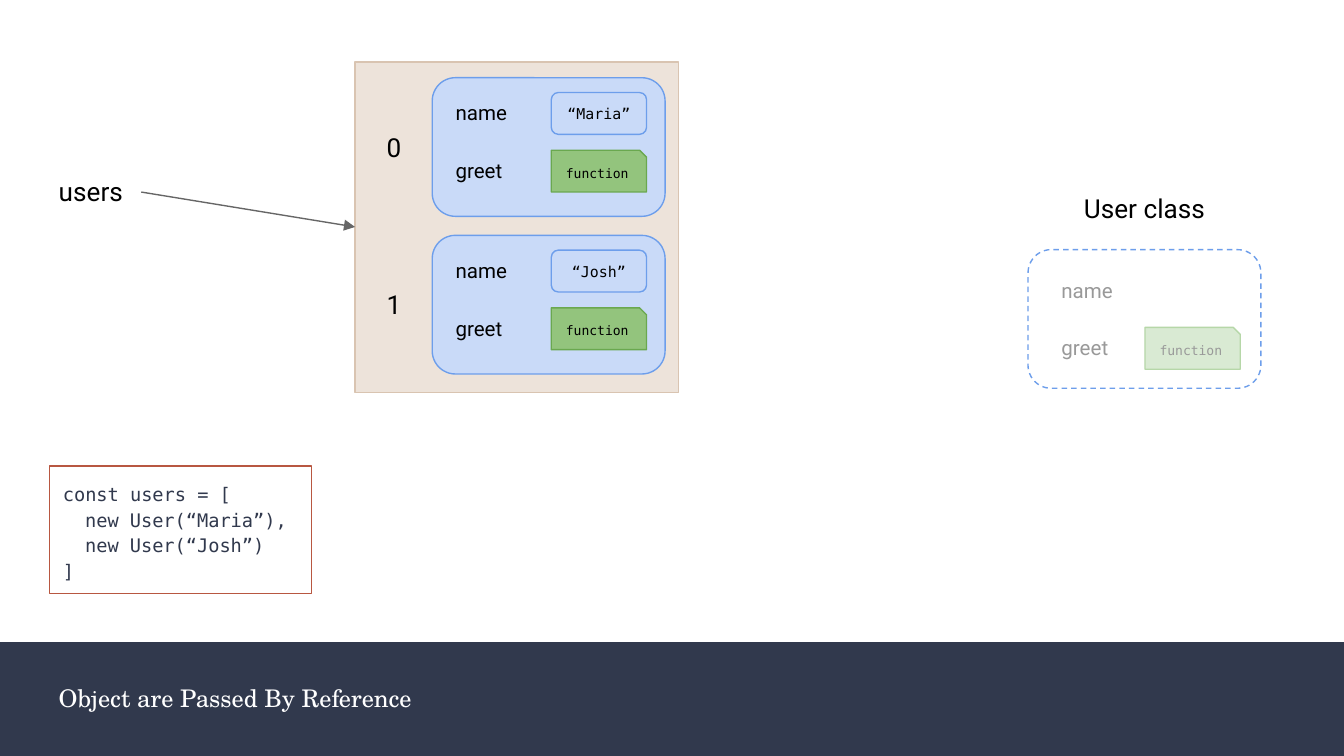
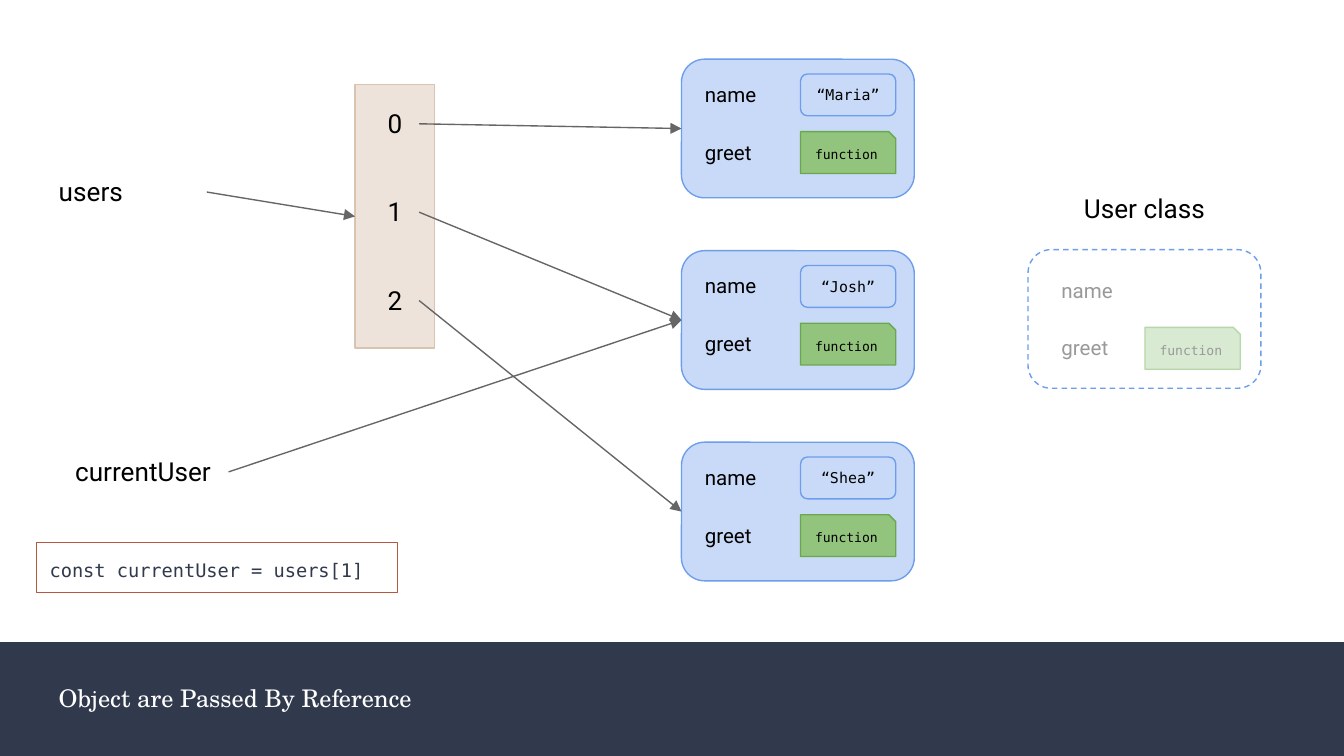
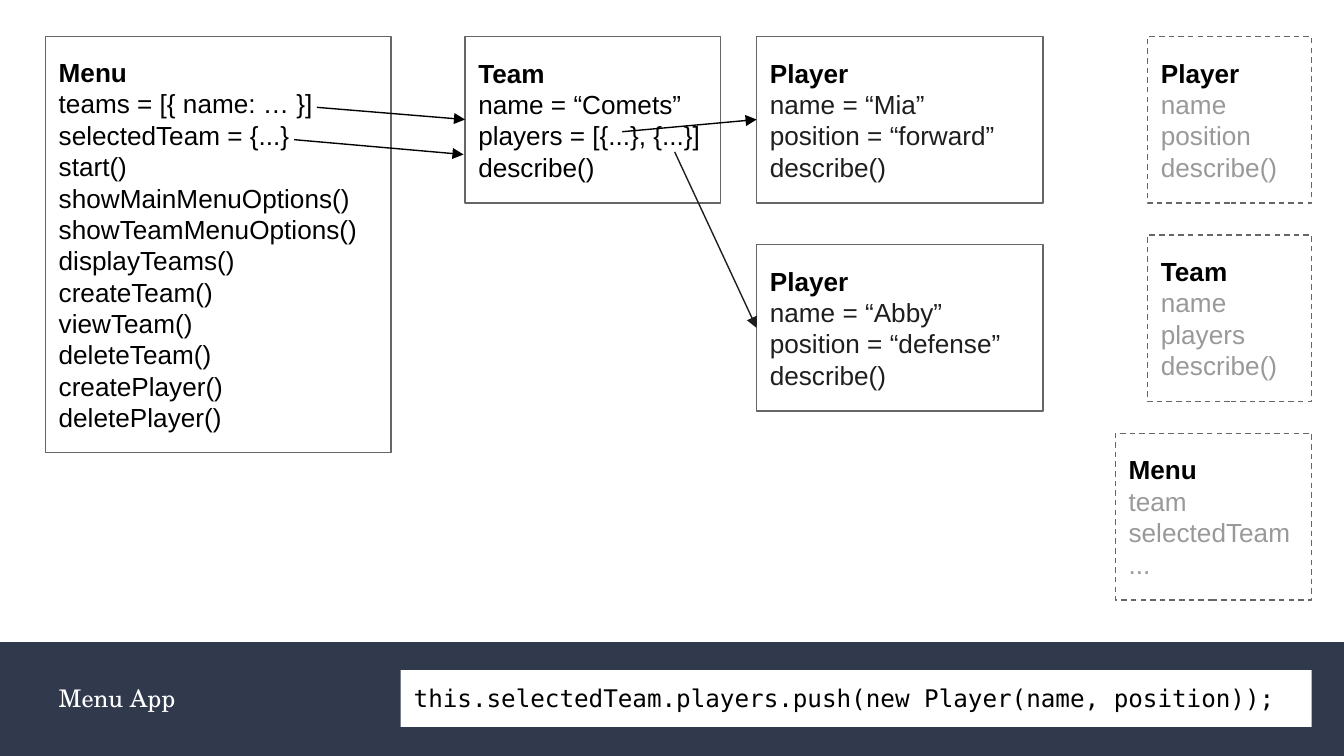
from lxml import etree
from pptx import Presentation
from pptx.dml.color import RGBColor
from pptx.enum.dml import MSO_LINE
from pptx.enum.shapes import MSO_CONNECTOR, MSO_SHAPE as Preset
from pptx.enum.text import MSO_ANCHOR as Anchor, MSO_AUTO_SIZE, PP_ALIGN as Align
from pptx.oxml.ns import qn
from pptx.util import Cm, Pt

WHITE = RGBColor(0xFF, 0xFF, 0xFF)
BLACK = RGBColor(0x00, 0x00, 0x00)
NAVY = RGBColor(0x31, 0x39, 0x4D)
RUST = RGBColor(0xB8, 0x57, 0x41)
GRAY = RGBColor(0x66, 0x66, 0x66)
FADED = RGBColor(0x99, 0x99, 0x99)
CHARCOAL = RGBColor(0x1E, 0x1E, 0x1E)
SAND = RGBColor(0xED, 0xE3, 0xDA)
SAND_EDGE = RGBColor(0xD9, 0xC4, 0xB1)
SKY = RGBColor(0xC9, 0xDA, 0xF8)
SKY_EDGE = RGBColor(0x6D, 0x9E, 0xEB)
GREEN = RGBColor(0x93, 0xC4, 0x7D)
GREEN_EDGE = RGBColor(0x6A, 0xA8, 0x4F)
PALE_GREEN = RGBColor(0xD9, 0xEA, 0xD3)
PALE_GREEN_EDGE = RGBColor(0xB6, 0xD7, 0xA8)

SERIF, SANS, MONO, ARIAL = "TeX Gyre Schola", "Roboto", "DejaVu Sans Mono", "Arial"
SLIDE_W, SLIDE_H, BAND_TOP = 25.4, 14.29, 12.14
CARD_W, CARD_H = 4.4, 2.62
CHIP_W, CHIP_H = 1.8, 0.79
INDEX_W, LABEL_H = 0.91, 1.12
LINE_W = Pt(0.75)


def prepare_frame(shape, anchor=Anchor.TOP):
    frame = shape.text_frame
    frame.word_wrap = True
    frame.auto_size = MSO_AUTO_SIZE.NONE
    frame.vertical_anchor = anchor
    frame.margin_left = frame.margin_right = Cm(0.25)
    frame.margin_top = frame.margin_bottom = Cm(0.25)
    return frame


def add_run(paragraph, text, size, font, color, bold=False, align=Align.LEFT):
    paragraph.alignment = align
    run = paragraph.add_run()
    run.text = text
    run.font.size = Pt(size)
    run.font.name = font
    run.font.color.rgb = color
    run.font.bold = bold


def add_box(slide, x, y, w, h, fill=None, edge=None, preset=Preset.RECTANGLE, dashed=False):
    box = slide.shapes.add_shape(preset, Cm(x), Cm(y), Cm(w), Cm(h))
    box.shadow.inherit = False
    if fill is None:
        box.fill.background()
    else:
        box.fill.solid()
        box.fill.fore_color.rgb = fill
    if edge is None:
        box.line.fill.background()
    else:
        box.line.color.rgb = edge
        box.line.width = LINE_W
        if dashed:
            box.line.dash_style = MSO_LINE.DASH
    return box


def add_label(slide, x, y, w, text, size=14, color=BLACK, align=Align.LEFT):
    height = LABEL_H if size == 14 else 0.99
    label = slide.shapes.add_textbox(Cm(x), Cm(y), Cm(w), Cm(height))
    add_run(prepare_frame(label).paragraphs[0], text, size, SANS, color, align=align)


def add_arrow(slide, start, end, color=GRAY):
    arrow = slide.shapes.add_connector(MSO_CONNECTOR.STRAIGHT, *map(Cm, start + end))
    arrow.line.color.rgb = color
    arrow.line.width = LINE_W
    etree.SubElement(arrow.line._get_or_add_ln(), qn("a:tailEnd"), type="triangle")
    etree.SubElement(arrow.element.spPr, qn("a:effectLst"))


def add_chip(slide, x, y, text, size, preset, fill, edge, color=BLACK):
    chip = add_box(slide, x, y, CHIP_W, CHIP_H, fill, edge, preset)
    frame = prepare_frame(chip, Anchor.MIDDLE)
    add_run(frame.paragraphs[0], text, size, MONO, color, align=Align.CENTER)


def add_fields(slide, x, y, function_x, fill, edge, color):
    add_label(slide, x, y, 1.55, "name", 11, color)
    add_label(slide, x, y + 1.09, 2.06, "greet", 11, color)
    add_chip(slide, function_x, y + 1.19, "function", 7, Preset.SNIP_1_RECTANGLE, fill, edge, color)


def add_user(slide, x, y, name):
    add_box(slide, x, y, CARD_W, CARD_H, SKY, SKY_EDGE, Preset.ROUNDED_RECTANGLE)
    add_chip(slide, x + 2.25, y + 0.28, f"“{name}”", 8, Preset.ROUNDED_RECTANGLE, SKY, SKY_EDGE)
    add_fields(slide, x + 0.19, y + 0.18, x + 2.25, GREEN, GREEN_EDGE, BLACK)


def add_user_class(slide):
    x, y = 19.43, 4.72
    add_label(slide, 20.12, 3.38, 3.02, "User class", align=Align.CENTER)
    add_box(slide, x, y, CARD_W, CARD_H, None, SKY_EDGE, Preset.ROUNDED_RECTANGLE, dashed=True)
    add_fields(slide, x + 0.38, y + 0.28, x + 2.21, PALE_GREEN, PALE_GREEN_EDGE, FADED)


def add_index(slide, x, y, index):
    add_label(slide, x, y, INDEX_W, str(index), align=Align.CENTER)


def add_code(slide, x, y, w, h, lines):
    frame = prepare_frame(add_box(slide, x, y, w, h, edge=RUST))
    for number, (text, indent) in enumerate(lines):
        paragraph = frame.add_paragraph() if number else frame.paragraphs[0]
        paragraph.line_spacing = 1.15
        add_run(paragraph, text, 10, MONO, NAVY)
        if indent:
            paragraph._p.get_or_add_pPr().set("marL", str(Cm(indent)))


def add_members(slide, x, y, w, h, heading, members, color, dashed=False):
    box = add_box(slide, x, y, w, h, WHITE, GRAY, dashed=dashed)
    frame = prepare_frame(box, Anchor.MIDDLE)
    add_run(frame.paragraphs[0], heading, 14, ARIAL, BLACK, bold=True)
    for member in members:
        add_run(frame.add_paragraph(), member, 14, ARIAL, color)


def add_titled_slide(prs, text):
    slide = prs.slides.add_slide(prs.slide_layouts[5])
    title = slide.shapes.title
    title.left, title.top, title.width, title.height = map(Cm, (0.86, 12.55, 22.17, 1.27))
    add_run(prepare_frame(title, Anchor.MIDDLE).paragraphs[0], text, 13, SERIF, WHITE)
    band = add_box(slide, 0, BAND_TOP, SLIDE_W, SLIDE_H - BAND_TOP, NAVY)
    title.element.addprevious(band.element)
    return slide


def build_nested_users(prs):
    slide = add_titled_slide(prs, "Object are Passed By Reference")
    indent = 0.42
    add_code(slide, 0.94, 8.81, 4.95, 2.41, [
        ("const users = [", 0),
        ("new User(“Maria”),", indent),
        ("new User(“Josh”)", indent),
        ("]", 0),
    ])
    add_user_class(slide)
    add_label(slide, 0.86, 3.07, 1.8, "users")
    add_box(slide, 6.71, 1.17, 6.12, 6.25, SAND, SAND_EDGE)
    for index, name in enumerate(["Maria", "Josh"]):
        y = 1.47 + index * 2.98
        add_user(slide, 8.17, y, name)
        add_index(slide, 6.99, y + 0.76, index)
    add_arrow(slide, (2.67, 3.63), (6.71, 4.29))


def build_referenced_users(prs):
    slide = add_titled_slide(prs, "Object are Passed By Reference")
    add_label(slide, 0.86, 3.07, 3.02, "users")
    add_box(slide, 6.71, 1.6, 1.5, 4.98, SAND, SAND_EDGE)
    add_user_class(slide)
    user_x = 12.88
    for index, name in enumerate(["Maria", "Josh", "Shea"]):
        user_y = 1.12 + index * 3.62
        index_y = 1.78 + index * 1.67
        add_user(slide, user_x, user_y, name)
        add_index(slide, 7.01, index_y, index)
        add_arrow(slide, (7.92, index_y + LABEL_H / 2), (user_x, user_y + CARD_H / 2))
    add_arrow(slide, (3.91, 3.63), (6.71, 4.09))
    add_code(slide, 0.69, 10.26, 6.83, 0.94, [("const currentUser = users[1]", 0)])
    add_label(slide, 1.17, 8.36, 3.15, "currentUser")
    add_arrow(slide, (4.32, 8.92), (user_x, 6.05))


def build_menu_app(prs):
    slide = add_titled_slide(prs, "Menu App")
    top, height, right = 0.69, 3.15, 24.79
    add_members(slide, 0.86, top, 6.53, 7.87, "Menu", [
        "teams = [{ name: … }]", "selectedTeam = {...}", "start()",
        "showMainMenuOptions()", "showTeamMenuOptions()", "displayTeams()",
        "createTeam()", "viewTeam()", "deleteTeam()", "createPlayer()", "deletePlayer()",
    ], BLACK)
    classes = [
        ("Player", 3.1, ["name", "position", "describe()"]),
        ("Team", 3.1, ["name", "players", "describe()"]),
        ("Menu", 3.71, ["team", "selectedTeam", "..."]),
    ]
    for row, (heading, width, members) in enumerate(classes):
        add_members(slide, right - width, top + row * 3.75, width, height,
                    heading, members, FADED, dashed=True)
    add_members(slide, 8.79, top, 4.83, height, "Team",
                ["name = “Comets”", "players = [{...}, {...}]", "describe()"], BLACK)
    players = [("Mia", "forward"), ("Abby", "defense")]
    for row, (name, position) in enumerate(players):
        add_members(slide, 14.3, top + row * 3.93, 5.41, height, "Player",
                    [f"name = “{name}”", f"position = “{position}”", "describe()"], CHARCOAL)
    add_arrow(slide, (5.99, 2.03), (8.79, 2.26), BLACK)
    add_arrow(slide, (5.56, 2.64), (8.76, 2.92), BLACK)
    add_arrow(slide, (11.76, 2.49), (14.3, 2.26), BLACK)
    add_arrow(slide, (12.75, 2.87), (14.3, 6.2), CHARCOAL)
    call = prepare_frame(add_box(slide, 7.57, 12.67, 17.22, 1.07, WHITE))
    add_run(call.paragraphs[0], "this.selectedTeam.players.push(new Player(name, position));",
            13, MONO, BLACK)


def main():
    prs = Presentation()
    prs.slide_width, prs.slide_height = Cm(SLIDE_W), Cm(SLIDE_H)
    build_nested_users(prs)
    build_referenced_users(prs)
    build_menu_app(prs)
    prs.save("out.pptx")


if __name__ == "__main__":
    main()
